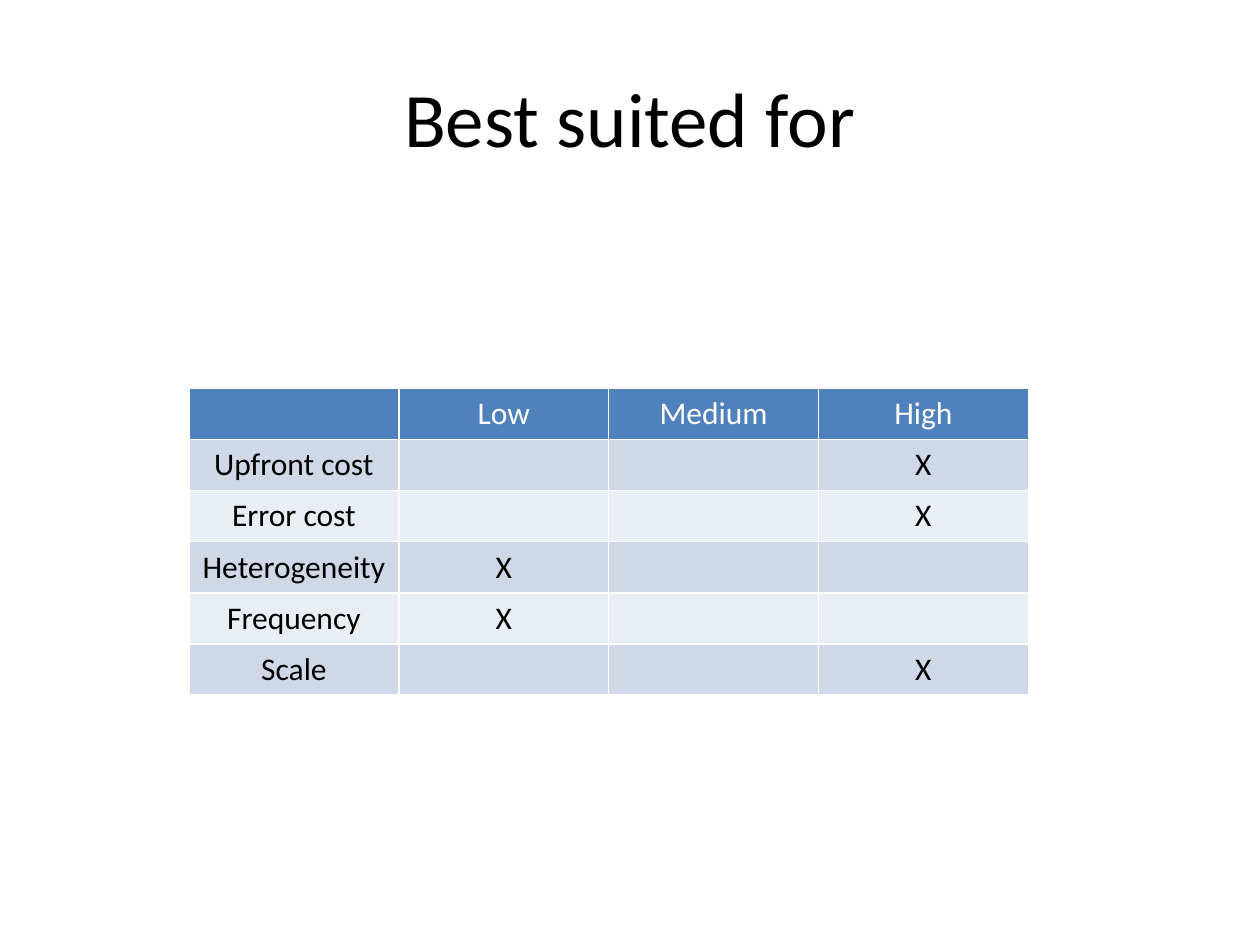
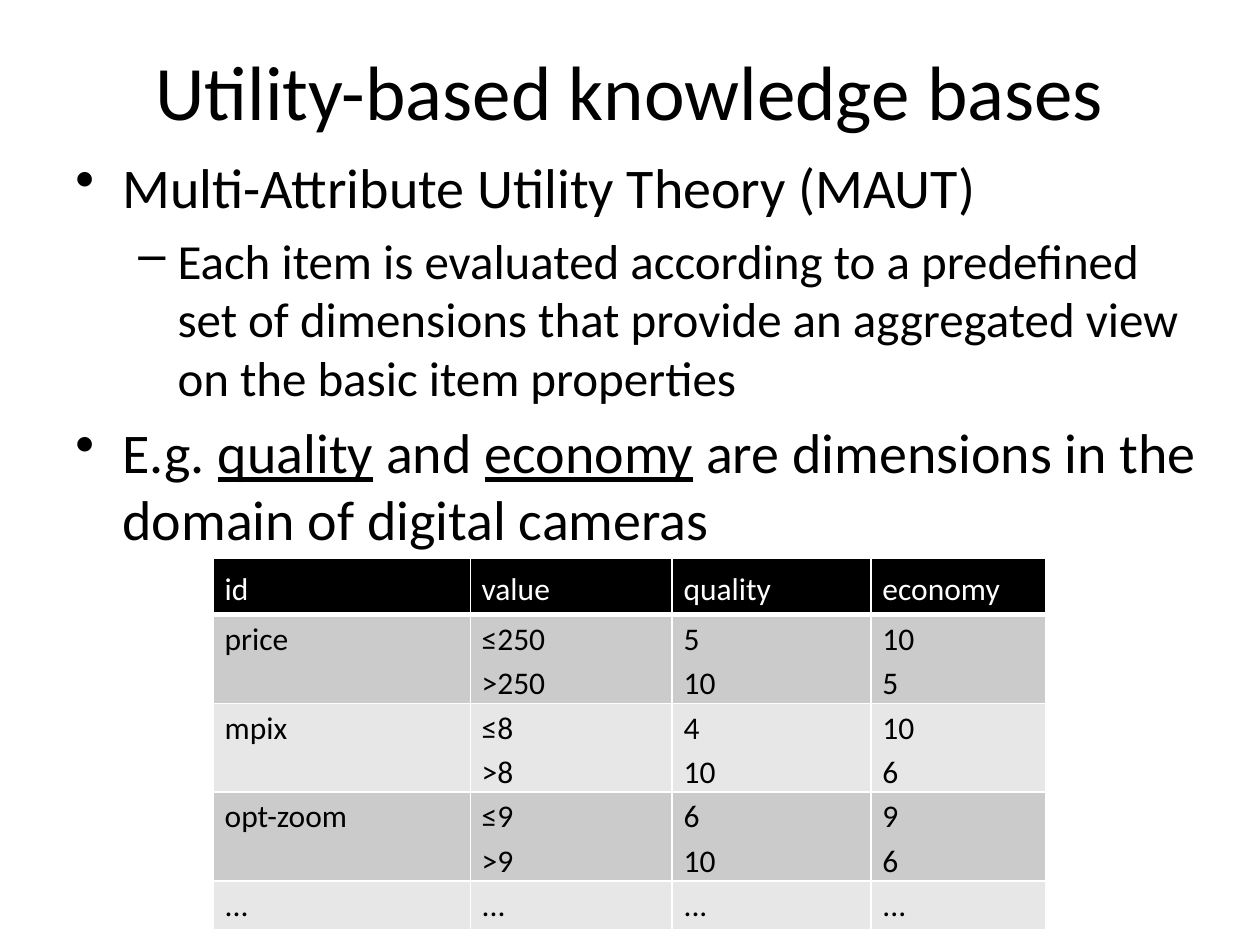
from lxml import etree
from pptx import Presentation
from pptx import util as u
from pptx.dml.color import RGBColor
from pptx.enum import text
from pptx.oxml import ns

COLORS = {
    "ink": "000000",
    "paper": "FFFFFF",
    "blue": "4F81BD",
    "blue_dark_band": "D0D8E8",
    "blue_light_band": "E9EDF4",
    "gray_dark_band": "CBCBCB",
    "gray_light_band": "E7E7E7",
}
# bullet sign, font size, left margin and hanging indent in cm
LEVELS = [("•", 32, 0.95, 0.95), ("–", 28, 2.06, 0.79)]


def color(name):
    return RGBColor.from_string(COLORS[name])


class Deck:
    font_name = "Calibri"

    def __init__(self):
        self.presentation = Presentation()
        self.presentation.slide_width = u.Cm(25.4)
        self.presentation.slide_height = u.Cm(19.05)
        self.slide = None

    def add_slide(self):
        self.slide = self.presentation.slides.add_slide(self.presentation.slide_layouts[6])

    def style(self, paragraph, size, ink="ink"):
        font = paragraph.font
        font.name = self.font_name
        font.size = u.Pt(size)
        font.color.rgb = color(ink)

    def text_frame(self, left, top, width, height):
        box = self.slide.shapes.add_textbox(*map(u.Cm, (left, top, width, height)))
        box.text_frame.word_wrap = True
        return box.text_frame

    def title(self, words, top):
        frame = self.text_frame(1.27, top, 22.86, 3.18)
        frame.vertical_anchor = text.MSO_ANCHOR.MIDDLE
        paragraph = frame.paragraphs[0]
        paragraph.text = words
        paragraph.alignment = text.PP_ALIGN.CENTER
        self.style(paragraph, 44)

    def bullets(self, items, left, top, width, height):
        """Items are (level, words); words between underscores are underlined."""
        frame = self.text_frame(left, top, width, height)
        for index, (level, words) in enumerate(items):
            paragraph = frame.add_paragraph() if index else frame.paragraphs[0]
            sign, size, margin, hanging = LEVELS[level]
            paragraph.level = level
            paragraph.space_before = u.Pt(size * 0.2)
            self.style(paragraph, size)
            for part, piece in enumerate(words.split("_")):
                run = paragraph.add_run()
                run.text = piece
                if part % 2:
                    run.font.underline = True
            properties = paragraph._p.get_or_add_pPr()
            properties.set("marL", str(u.Cm(margin)))
            properties.set("indent", str(-u.Cm(hanging)))
            bullet = etree.Element(ns.qn("a:buChar"), char=sign)
            properties.find(ns.qn("a:defRPr")).addprevious(bullet)

    def borders(self, cell, **widths):
        """Draw white cell borders; widths are points for L, R, T and B."""
        properties = cell._tc.get_or_add_tcPr()
        for index, side in enumerate("LRTB"):
            width = u.Pt(widths.get(side, 1))
            line = etree.Element(ns.qn(f"a:ln{side}"), w=str(width))
            fill = etree.SubElement(line, ns.qn("a:solidFill"))
            etree.SubElement(fill, ns.qn("a:srgbClr"), val=COLORS["paper"])
            properties.insert(index, line)

    def table(self, rows, left, top, widths, heights, fills, rule=1, centered=False):
        """Fills are header, odd and even rows; rule is the line below the header."""
        frame = self.slide.shapes.add_table(
            len(rows), len(widths), u.Cm(left), u.Cm(top),
            u.Cm(sum(widths)), u.Cm(sum(heights)))
        table = frame.table
        table.first_row = table.horz_banding = False
        for column, width in zip(table.columns, widths):
            column.width = u.Cm(width)
        for row, height in zip(table.rows, heights):
            row.height = u.Cm(height)
        header, odd, even = fills
        for row_index, row in enumerate(rows):
            fill = (odd if row_index % 2 else even) if row_index else header
            for column_index, words in enumerate(row):
                cell = table.cell(row_index, column_index)
                cell.fill.solid()
                cell.fill.fore_color.rgb = color(fill)
                self.borders(cell, T=rule if row_index == 1 else 1,
                             B=1 if row_index else rule)
                cell.text = words
                for paragraph in cell.text_frame.paragraphs:
                    self.style(paragraph, 18, "ink" if row_index else "paper")
                    if centered:
                        paragraph.alignment = text.PP_ALIGN.CENTER
        return table

    def loosen(self, table):
        """Set wider line spacing, with body rows that have no vertical margins."""
        for row_index, row in enumerate(table.rows):
            for cell in row.cells:
                cell.margin_left = cell.margin_right = u.Cm(0.23)
                cell.margin_top = cell.margin_bottom = u.Cm(0 if row_index else 0.13)
                for paragraph in cell.text_frame.paragraphs:
                    paragraph.line_spacing = 1.15
                paragraph.space_after = u.Pt(10)


def best_suited(deck):
    deck.add_slide()
    deck.title("Best suited for", 0.76)
    levels = ["Low", "Medium", "High"]
    ratings = {"Upfront cost": "High", "Error cost": "High", "Heterogeneity": "Low",
               "Frequency": "Low", "Scale": "High"}
    rows = [["", *levels]]
    for criterion, rating in ratings.items():
        rows.append([criterion, *("X" if level == rating else "" for level in levels)])
    deck.table(rows, 3.81, 7.83, [4.23] * 4, [1.03] * 6,
               ("blue", "blue_dark_band", "blue_light_band"), centered=True)


def utility_knowledge(deck):
    deck.add_slide()
    deck.title("Utility-based knowledge bases", 0.21)
    deck.bullets([
        (0, "Multi-Attribute Utility Theory (MAUT)"),
        (1, "Each item is evaluated according to a predefined set of dimensions "
            "that provide an aggregated view on the basic item properties"),
        (0, "E.g. _quality_ and _economy_ are dimensions in the domain of digital cameras"),
    ], 1.27, 2.96, 23.24, 12.57)
    rows = [
        ["id", "value", "quality", "economy"],
        ["price", "≤250\n>250", "5\n10", "10\n5"],
        ["mpix", "≤8\n>8", "4\n10", "10\n6"],
        ["opt-zoom", "≤9\n>9", "6\n10", "9\n6"],
        ["..."] * 4,
    ]
    table = deck.table(rows, 4.3, 11.25, [5.18, 4.07, 4.01, 3.53],
                       [1.12, 1.79, 1.79, 1.79, 0.98],
                       ("ink", "gray_dark_band", "gray_light_band"), rule=3)
    deck.loosen(table)


def main():
    deck = Deck()
    best_suited(deck)
    utility_knowledge(deck)
    deck.presentation.save("out.pptx")


if __name__ == "__main__":
    main()
